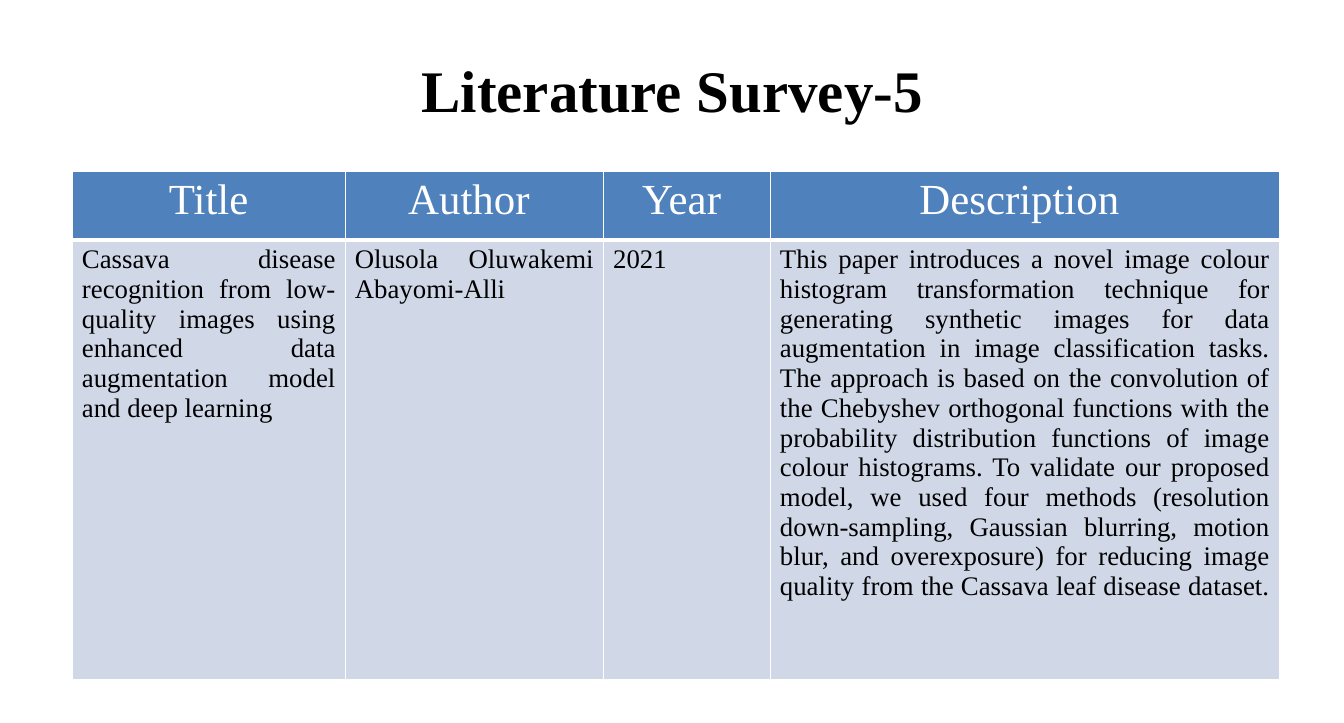
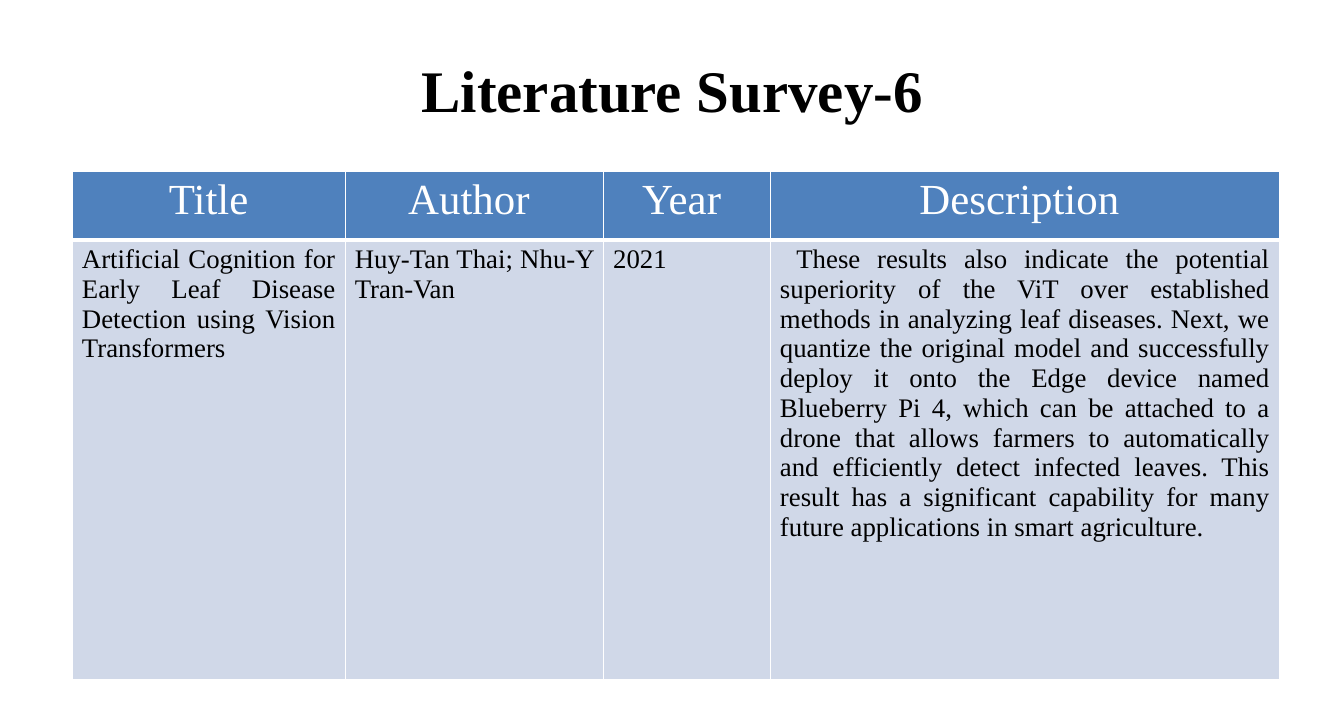
import dataclasses

import lxml.etree
import pptx
import pptx.dml.color
import pptx.enum.text
import pptx.oxml.ns
import pptx.util

Inches = pptx.util.Inches
Pt = pptx.util.Pt
RGBColor = pptx.dml.color.RGBColor
PP_ALIGN = pptx.enum.text.PP_ALIGN
qn = pptx.oxml.ns.qn


@dataclasses.dataclass(frozen=True)
class Theme:
    font: str = "Times New Roman"
    ink: str = "000000"
    paper: str = "FFFFFF"
    header_fill: str = "4F81BD"
    body_fill: str = "D0D8E8"
    title_size: int = 44
    header_size: int = 32
    body_size: int = 20
    rule: int = 1
    header_rule: int = 3


THEME = Theme()
HEADINGS = ("Title", "Author ", "Year ", "Description ")
COLUMN_WIDTHS = (2.83, 2.68, 1.73, 5.28)
ROW_HEIGHTS = (0.71, 4.56)
TITLE_BOX = {"left": 0.7, "top": 0.3, "width": 12.55, "height": 1.25}
ROW_STYLES = (
    {"size": THEME.header_size, "color": THEME.paper, "fill": THEME.header_fill,
     "align": PP_ALIGN.CENTER, "bottom": THEME.header_rule},
    {"size": THEME.body_size, "color": THEME.ink, "fill": THEME.body_fill,
     "align": PP_ALIGN.JUSTIFY, "bottom": THEME.rule},
)
SURVEYS = {
    "Literature Survey-5": (
        "Cassava disease recognition from low‐quality images using enhanced data "
        "augmentation model and deep learning",
        "Olusola Oluwakemi Abayomi-Alli",
        "2021",
        "This paper introduces a novel image colour histogram transformation technique "
        "for generating synthetic images for data augmentation in image classification "
        "tasks. The approach is based on the convolution of the Chebyshev orthogonal "
        "functions with the probability distribution functions of image colour "
        "histograms. To validate our proposed model, we used four methods (resolution "
        "down‐sampling, Gaussian blurring, motion blur, and overexposure) for reducing "
        "image quality from the Cassava leaf disease dataset. ",
    ),
    "Literature Survey-6": (
        "Artificial Cognition for Early Leaf Disease Detection using Vision Transformers",
        "Huy-Tan Thai; Nhu-Y Tran-Van",
        "2021",
        " These results also indicate the potential superiority of the ViT over "
        "established methods in analyzing leaf diseases. Next, we quantize the original "
        "model and successfully deploy it onto the Edge device named Blueberry Pi 4, "
        "which can be attached to a drone that allows farmers to automatically and "
        "efficiently detect infected leaves. This result has a significant capability "
        "for many future applications in smart agriculture.",
    ),
}


def write_text(frame, text, size, color, align, bold=False):
    frame.text = text
    paragraph = frame.paragraphs[0]
    paragraph.alignment = align
    font = paragraph.runs[0].font
    formats = {"name": THEME.font, "size": Pt(size), "bold": bold}
    for attribute, value in formats.items():
        setattr(font, attribute, value)
    font.color.rgb = RGBColor.from_string(color)


def draw_borders(cell, bottom):
    """Rule all four sides; call before the fill, which must follow in the XML."""
    properties = cell._tc.get_or_add_tcPr()
    widths = {"a:lnL": THEME.rule, "a:lnR": THEME.rule, "a:lnT": THEME.rule, "a:lnB": bottom}
    for tag, width in widths.items():
        line = lxml.etree.SubElement(properties, qn(tag), w=str(Pt(width)))
        solid = lxml.etree.SubElement(line, qn("a:solidFill"))
        lxml.etree.SubElement(solid, qn("a:srgbClr"), val=THEME.paper)


deck = pptx.Presentation()
deck.slide_width = Inches(13.94)
deck.slide_height = Inches(7.5)
title_only = deck.slide_layouts[5]

for survey_name, entry in SURVEYS.items():
    slide = deck.slides.add_slide(title_only)
    heading = slide.shapes.title
    for attribute, value in TITLE_BOX.items():
        setattr(heading, attribute, Inches(value))
    heading.text_frame.vertical_anchor = pptx.enum.text.MSO_ANCHOR.MIDDLE
    write_text(heading.text_frame, survey_name, THEME.title_size, THEME.ink,
               PP_ALIGN.CENTER, bold=True)

    survey = slide.shapes.add_table(
        len(ROW_HEIGHTS), len(COLUMN_WIDTHS), Inches(0.75), Inches(1.78),
        Inches(sum(COLUMN_WIDTHS)), Inches(sum(ROW_HEIGHTS))).table
    survey.horz_banding = False
    for column, width in zip(survey.columns, COLUMN_WIDTHS):
        column.width = Inches(width)

    for row, height, texts, style in zip(survey.rows, ROW_HEIGHTS, (HEADINGS, entry), ROW_STYLES):
        row.height = Inches(height)
        for cell, text in zip(row.cells, texts):
            draw_borders(cell, style["bottom"])
            cell.fill.solid()
            cell.fill.fore_color.rgb = RGBColor.from_string(style["fill"])
            write_text(cell.text_frame, text, style["size"], style["color"], style["align"])

deck.save("out.pptx")
